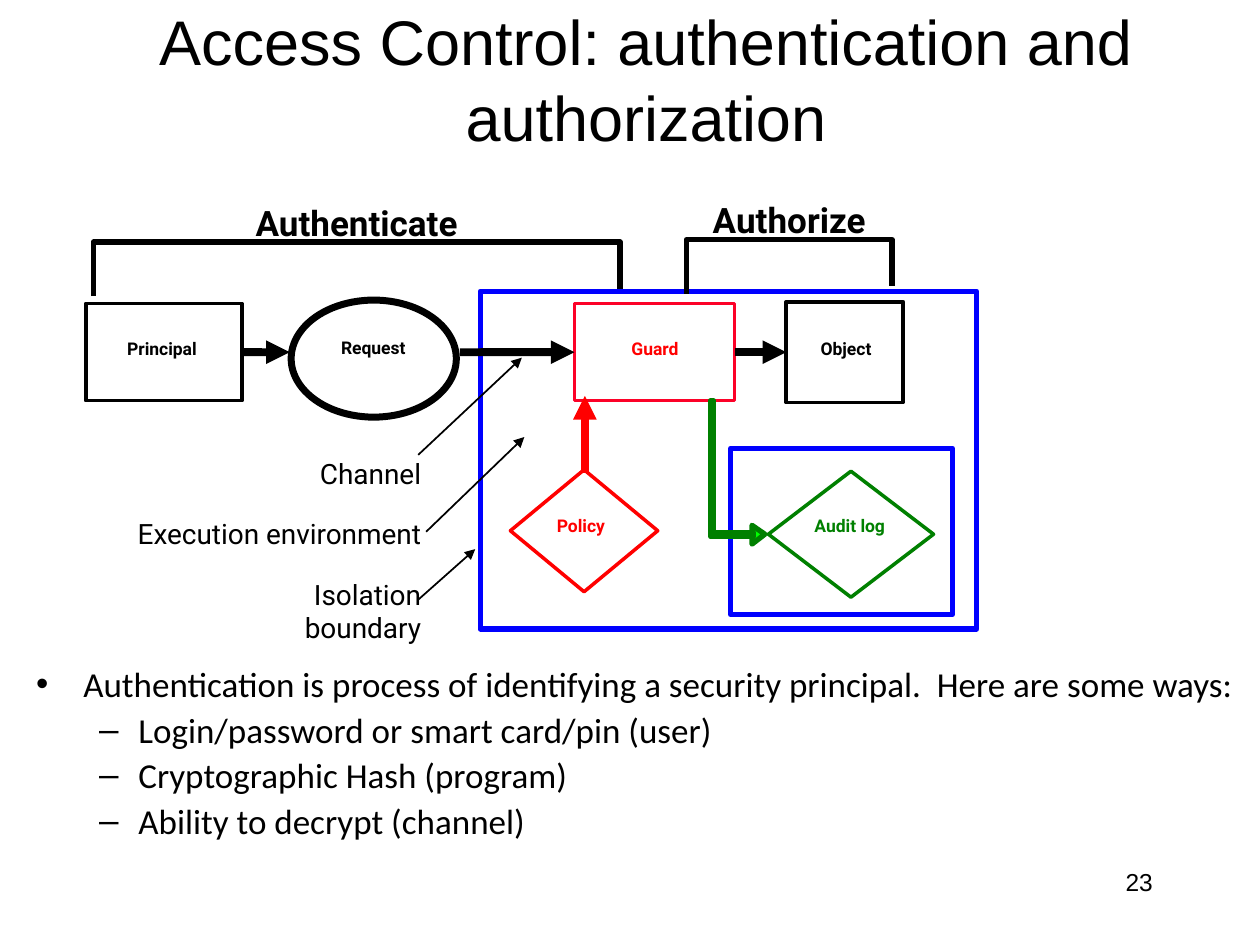
from pptx import Presentation
from pptx.dml.color import RGBColor
from pptx.enum.shapes import MSO_CONNECTOR, MSO_SHAPE as SHAPE
from pptx.enum.text import MSO_ANCHOR, MSO_AUTO_SIZE, PP_ALIGN as ALIGN
from pptx.oxml.ns import qn
from pptx.util import Cm, Pt
from lxml.etree import SubElement

BLACK = RGBColor(0x00, 0x00, 0x00)
RED = RGBColor(0xFF, 0x00, 0x00)
CRIMSON = RGBColor(0xFC, 0x01, 0x28)
GREEN = RGBColor(0x00, 0x80, 0x00)
LIME = RGBColor(0x00, 0xFF, 0x00)
BLUE = RGBColor(0x00, 0x00, 0xFF)

FLOW_Y = 7.1
CALLOUT_RIGHT = 8.74


def write(p, text, font="Roboto", size=10, color=BLACK, bold=False,
          align=ALIGN.CENTER, spacing=None):
    p.alignment = align
    if spacing:
        p.line_spacing = spacing
    r = p.add_run()
    r.text = text
    r.font.name = font
    r.font.size = Pt(size)
    r.font.bold = bold
    r.font.color.rgb = color


class Diagram:
    def __init__(self, prs):
        self.s = prs.slides.add_slide(prs.slide_layouts[5])
        self.shapes = self.s.shapes

    def style(self, sp, color, width, fill=None):
        sp.shadow.inherit = False
        sp.line.color.rgb = color
        sp.line.width = Pt(width)
        if fill is None:
            sp.fill.background()
        else:
            sp.fill.solid()
            sp.fill.fore_color.rgb = fill
        return sp

    def title(self, text, x, y, w, h):
        sp = self.shapes.title
        sp.left, sp.top, sp.width, sp.height = Cm(x), Cm(y), Cm(w), Cm(h)
        tf = sp.text_frame
        tf.auto_size = MSO_AUTO_SIZE.NONE
        tf.vertical_anchor = MSO_ANCHOR.MIDDLE
        write(tf.paragraphs[0], text, font="Arial", size=36)

    def shape(self, kind, x, y, w, h, color, width):
        sp = self.shapes.add_shape(kind, Cm(x), Cm(y), Cm(w), Cm(h))
        return self.style(sp, color, width)

    def flow_box(self, x, w, h, color):
        return self.shape(SHAPE.RECTANGLE, x, FLOW_Y - h / 2, w, h, color, 2)

    def text(self, text, x, y, w, h, inset=True, **fmt):
        tf = self.shapes.add_textbox(Cm(x), Cm(y), Cm(w), Cm(h)).text_frame
        tf.word_wrap = True
        if not inset:
            tf.margin_left = tf.margin_right = tf.margin_top = tf.margin_bottom = 0
        write(tf.paragraphs[0], text, **fmt)

    def label(self, text, x, y, w, **fmt):
        self.text(text, x, y, w, 0.76, inset=False, bold=True, **fmt)

    def callout(self, text, y, w, h, start, end):
        self.text(text, CALLOUT_RIGHT - w, y, w, h, size=16, align=ALIGN.RIGHT)
        self.arrow(start, end, width=1)

    def arrow(self, start, end, color=BLACK, width=4.5, source=None, target=None):
        c = self.shapes.add_connector(MSO_CONNECTOR.STRAIGHT, *map(Cm, start + end))
        if source is not None:
            c.begin_connect(source, 3)
        if target is not None:
            c.end_connect(target, 1)
        c.line.color.rgb = color
        c.line.width = Pt(width)
        SubElement(c.line._get_or_add_ln(), qn("a:tailEnd"), type="triangle")
        SubElement(c._element.spPr, qn("a:effectLst"))

    def outline(self, contours, color, width, fill=None, close=False):
        first, *others = [[(Cm(x), Cm(y)) for x, y in points] for points in contours]
        fb = self.shapes.build_freeform(*first[0])
        fb.add_line_segments(first[1:], close=close)
        for points in others:
            fb.move_to(*points[0])
            fb.add_line_segments(points[1:], close=close)
        return self.style(fb.convert_to_shape(), color, width, fill)

    def bracket(self, text, left, right, top):
        points = [(left, top + 1.09), (left, top), (right, top), (right, top + 0.94)]
        self.outline([points], BLACK, 3)
        self.label(text, left, top - 0.82, right - left, size=20)

    def bullets(self, items, x, y, w, h):
        tf = self.shapes.add_textbox(Cm(x), Cm(y), Cm(w), Cm(h)).text_frame
        tf.word_wrap = True
        for i, (level, text) in enumerate(items):
            p = tf.paragraphs[0] if i == 0 else tf.add_paragraph()
            char, margin, indent = (("•", 0.95, 0.95), ("–", 2.06, 0.79))[level]
            p.level = level
            if i:
                p.space_before = Pt(2)
            pPr = p._p.get_or_add_pPr()
            pPr.set("marL", str(Cm(margin)))
            pPr.set("indent", str(-Cm(indent)))
            SubElement(pPr, qn("a:buFont"), typeface="Arial")
            SubElement(pPr, qn("a:buChar"), char=char)
            write(p, text, font="Calibri", size=20, align=ALIGN.LEFT)


def main():
    prs = Presentation()
    prs.slide_width, prs.slide_height = Cm(25.4), Cm(19.05)
    d = Diagram(prs)
    d.title("Access Control: authentication and authorization", 0.64, 0.84, 24.76, 1.47)

    d.shape(SHAPE.RECTANGLE, 9.68, 5.87, 10.01, 6.81, BLUE, 3)
    d.shape(SHAPE.RECTANGLE, 14.73, 9.04, 4.47, 3.35, BLUE, 3)

    principal = d.flow_box(1.73, 3.15, 1.96, BLACK)
    guard = d.flow_box(11.58, 3.23, 1.96, CRIMSON)
    obj = d.flow_box(15.85, 2.36, 2.03, BLACK)
    d.shape(SHAPE.OVAL, 5.87, 6.05, 3.33, 2.36, BLACK, 4)
    d.shape(SHAPE.DIAMOND, 10.29, 9.47, 2.97, 2.46, RED, 2)
    d.shape(SHAPE.DIAMOND, 15.49, 9.5, 3.33, 2.54, GREEN, 2)

    d.label("Principal", 1.83, 6.81, 2.87)
    d.label("Request", 6.27, 6.88, 2.51, spacing=0.8)
    d.label("Guard", 11.81, 6.81, 2.79, color=RED)
    d.label("Object", 15.9, 6.81, 2.31)
    d.label("Policy", 10.26, 10.39, 2.9, color=RED)
    d.label("Audit log", 15.67, 10.39, 2.92, color=GREEN)

    d.arrow((4.88, FLOW_Y), (5.84, FLOW_Y), source=principal)
    d.arrow((9.27, FLOW_Y), (11.58, FLOW_Y), target=guard)
    d.arrow((14.81, FLOW_Y), (15.85, FLOW_Y), source=guard, target=obj)
    d.arrow((11.79, 9.53), (11.79, 7.98), color=RED)
    shaft = [(15.19, 10.82), (14.33, 10.82), (14.33, 8.08), (14.38, 8.08),
             (14.38, 10.74), (15.19, 10.74)]
    head = [(15.16, 10.59), (15.42, 10.77), (15.16, 10.97)]
    d.outline([shaft, head], GREEN, 3, fill=LIME, close=True)

    d.bracket("Authenticate", 1.88, 12.5, 4.88)
    d.bracket("Authorize", 13.84, 17.98, 4.83)

    d.callout("Channel", 9.07, 2.62, 0.94, (8.43, 9.17), (10.52, 7.21))
    d.callout("Execution environment", 10.29, 6.6, 0.94, (8.59, 10.72), (10.57, 8.81))
    d.callout("Isolation boundary", 11.51, 3.15, 1.6, (8.43, 12.09), (9.58, 11.07))

    d.bullets([
        (0, "Authentication is process of identifying a security principal.  Here are some ways:"),
        (1, "Login/password or smart card/pin (user)"),
        (1, "Cryptographic Hash (program)"),
        (1, "Ability to decrypt (channel)"),
    ], 0.48, 13.23, 24.92, 4)
    d.text("23", 18.21, 17.35, 5.28, 1.27, font="Arial", size=14, align=ALIGN.RIGHT)

    prs.save("out.pptx")


if __name__ == "__main__":
    main()
